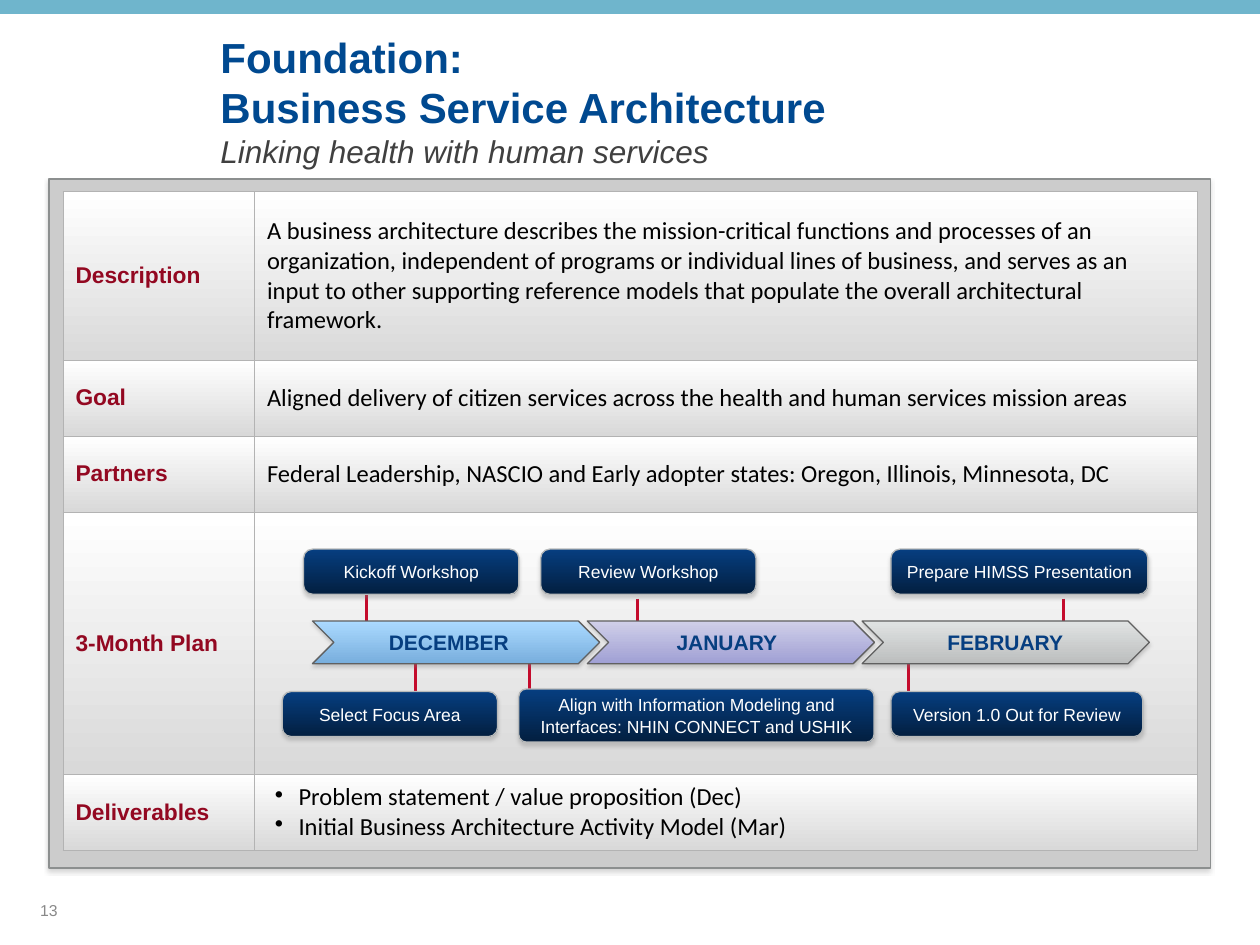
import copy

import lxml.etree
import pptx
import pptx.dml.color
import pptx.enum.shapes
import pptx.enum.text
import pptx.oxml
import pptx.oxml.ns
import pptx.util

Cm, Pt = pptx.util.Cm, pptx.util.Pt
qn, nsdecls = pptx.oxml.ns.qn, pptx.oxml.ns.nsdecls
SHAPE = pptx.enum.shapes.MSO_SHAPE
MIDDLE = pptx.enum.text.MSO_ANCHOR.MIDDLE
LEFT, CENTER = pptx.enum.text.PP_ALIGN.LEFT, pptx.enum.text.PP_ALIGN.CENTER


def paint(fill, *colours):
    """Fill solidly with one hex colour, or from top to bottom with two."""
    shades = [pptx.dml.color.RGBColor.from_string(c) for c in colours]
    if len(shades) == 1:
        fill.solid()
        fill.fore_color.rgb = shades[0]
    else:
        fill.gradient()
        fill.gradient_angle = 270
        for stop, shade in zip(fill.gradient_stops, shades):
            stop.color.rgb = shade


def write(paragraph, text, size=10, colour="FFFFFF", font="Arial",
          bold=False, italic=False, align=LEFT):
    run = paragraph.add_run()
    run.text = text
    run.font.size, run.font.name = Pt(size), font
    run.font.bold, run.font.italic = bold, italic
    paint(run.font.fill, colour)
    paragraph.alignment = align
    return run


prs = pptx.Presentation()
prs.slide_width, prs.slide_height = Cm(25.4), Cm(19.05)
slide = prs.slides.add_slide(prs.slide_layouts[5])
shapes = slide.shapes

# Top band and the grey frame behind the table
band = shapes.add_shape(SHAPE.RECTANGLE, 0, 0, prs.slide_width, Cm(0.28))
paint(band.fill, "6FB5CC")
band.line.fill.background()
band.shadow.inherit = False
frame = shapes.add_shape(SHAPE.RECTANGLE, Cm(0.99), Cm(3.61), Cm(23.42), Cm(13.89))
paint(frame.fill, "CCCCCC")
paint(frame.line.fill, "8C8F8F")
frame.line.width = Pt(0.75)
shadowed = [frame]

# Title with its subtitle
title = shapes.title
title.left, title.top, title.width, title.height = Cm(4.19), Cm(0.47), Cm(20.52), Cm(3.12)
title.text_frame.auto_size = pptx.enum.text.MSO_AUTO_SIZE.NONE
title.text_frame.vertical_anchor = MIDDLE
heading = title.text_frame.paragraphs[0]
for line in ("Foundation:", "Business Service Architecture"):
    run = write(heading, line, size=24, colour="004990", bold=True)
    heading.add_line_break()
    # The break takes the run's size so that it does not stretch the line
    heading._p[-1].append(copy.deepcopy(run._r.rPr))
write(heading, "Linking health with human services", size=18, colour="404040", italic=True)

# Table: topic, then its paragraphs
topics = [
    ("Description", 3.4, [
        "A business architecture describes the mission-critical functions and processes of an "
        "organization, independent of programs or individual lines of business, and serves as an "
        "input to other supporting reference models that populate the overall architectural "
        "framework."]),
    ("Goal", 1.53, [
        "Aligned delivery of citizen services across the health and human services mission areas"]),
    ("Partners", 1.53, [
        "Federal Leadership, NASCIO and Early adopter states: Oregon, Illinois, Minnesota, DC"]),
    ("3-Month Plan", 5.29, []),
    ("Deliverables", 1.53, [
        "Problem statement / value proposition (Dec)",
        "Initial Business Architecture Activity Model (Mar)"]),
]
table = shapes.add_table(len(topics), 2, Cm(1.27), Cm(3.86), Cm(22.86), Cm(13.28)).table
table.first_row = table.horz_banding = False
table.columns[0].width, table.columns[1].width = Cm(3.86), Cm(19)
for row, (topic, height, details) in enumerate(topics):
    table.rows[row].height = Cm(height)
    topic_cell, detail_cell = table.cell(row, 0), table.cell(row, 1)
    write(topic_cell.text_frame.paragraphs[0], topic, size=13, colour="930821", bold=True)
    for number, detail in enumerate(details):
        body = detail_cell.text_frame
        paragraph = body.add_paragraph() if number else body.paragraphs[0]
        if len(details) > 1:
            properties = paragraph._p.get_or_add_pPr()
            properties.set("marL", "228600")
            properties.set("indent", "-171450")
            lxml.etree.SubElement(properties, qn("a:buChar")).set("char", "•")
        write(paragraph, detail, size=14, colour="000000", font="Calibri")
    for cell in (topic_cell, detail_cell):
        cell.vertical_anchor = MIDDLE
        paint(cell.fill, "FFFFFF", "D9D9D9")
        for place, side in enumerate(("lnL", "lnR", "lnT", "lnB")):
            cell._tc.get_or_add_tcPr().insert(place, pptx.oxml.parse_xml(
                f'<a:{side} {nsdecls("a")} w="5715"><a:solidFill>'
                f'<a:srgbClr val="B3B3B3"/></a:solidFill></a:{side}>'))

# Page number
page = shapes.add_textbox(Cm(0.56), Cm(17.83), Cm(5.92), Cm(1.02)).text_frame
page.word_wrap = True
page.vertical_anchor = MIDDLE
write(page.paragraphs[0], "13", size=9, colour="898989")

# Ties between the months and their tasks
for x, top, bottom in [(21.44, 12.07, 12.73), (12.85, 12.07, 12.73), (7.39, 11.94, 12.6),
                       (8.38, 13.23, 14.4), (10.67, 13.23, 14.4), (18.31, 13.23, 14.4)]:
    tie = shapes.add_connector(pptx.enum.shapes.MSO_CONNECTOR.STRAIGHT,
                               Cm(x), Cm(top), Cm(x), Cm(bottom))
    paint(tie.line.fill, "C40B2C")
    tie.line.width = Pt(2)
    lxml.etree.SubElement(tie._element.spPr, qn("a:effectLst"))

# Months
months = [("DECEMBER", 7.59, "ABDAFF", "78AEDD"),
          ("JANUARY", 13.39, "D0CFE9", "A0A0D4"),
          ("FEBRUARY", 18.85, "E0E3E3", "BCBEBE")]
for number, (month, left, light, dark) in enumerate(months):
    arrow = shapes.add_shape(SHAPE.CHEVRON, Cm(6.3 + 5.54 * number), Cm(12.52), Cm(5.79), Cm(0.86))
    paint(arrow.fill, light, dark)
    paint(arrow.line.fill, "606060")
    arrow.line.width = Pt(0.75)
    shadowed.append(arrow)
    label = shapes.add_textbox(Cm(left), Cm(12.57), Cm(3.2), Cm(0.76)).text_frame
    label.word_wrap = True
    write(label.paragraphs[0], month, size=12, colour="063E80", bold=True)

# Tasks below and above the months
tasks = [
    ("Select Focus Area", 5.69, 13.94, 4.34, 0.91),
    ("Version 1.0 Out for Review", 17.96, 13.94, 5.08, 0.91),
    ("Align with Information Modeling and Interfaces: NHIN CONNECT and USHIK",
     10.46, 13.89, 7.16, 1.07),
    ("Kickoff Workshop", 6.12, 11.07, 4.34, 0.91),
    ("Review Workshop", 10.9, 11.07, 4.34, 0.91),
    ("Prepare HIMSS Presentation", 17.96, 11.07, 5.18, 0.91),
]
for task, left, top, width, height in tasks:
    box = shapes.add_shape(SHAPE.ROUNDED_RECTANGLE, Cm(left), Cm(top), Cm(width), Cm(height))
    box.adjustments[0] = 0.14 if height > 1 else 0.2
    paint(box.fill, "063E80", "031F40")
    paint(box.line.fill, "B8BABA")
    box.line.width = Pt(0.75)
    box.text_frame.word_wrap = True
    box.text_frame.vertical_anchor = MIDDLE
    write(box.text_frame.paragraphs[0], task, align=CENTER)
    shadowed.append(box)

# Soft shadow straight below
for shape in shadowed:
    shape.shadow.inherit = False
    shape._element.spPr.find(qn("a:effectLst")).append(pptx.oxml.parse_xml(
        f'<a:outerShdw {nsdecls("a")} blurRad="25400" dist="22860" dir="5400000" rotWithShape="0">'
        '<a:srgbClr val="808080"><a:alpha val="35000"/></a:srgbClr></a:outerShdw>'))

prs.save("out.pptx")
